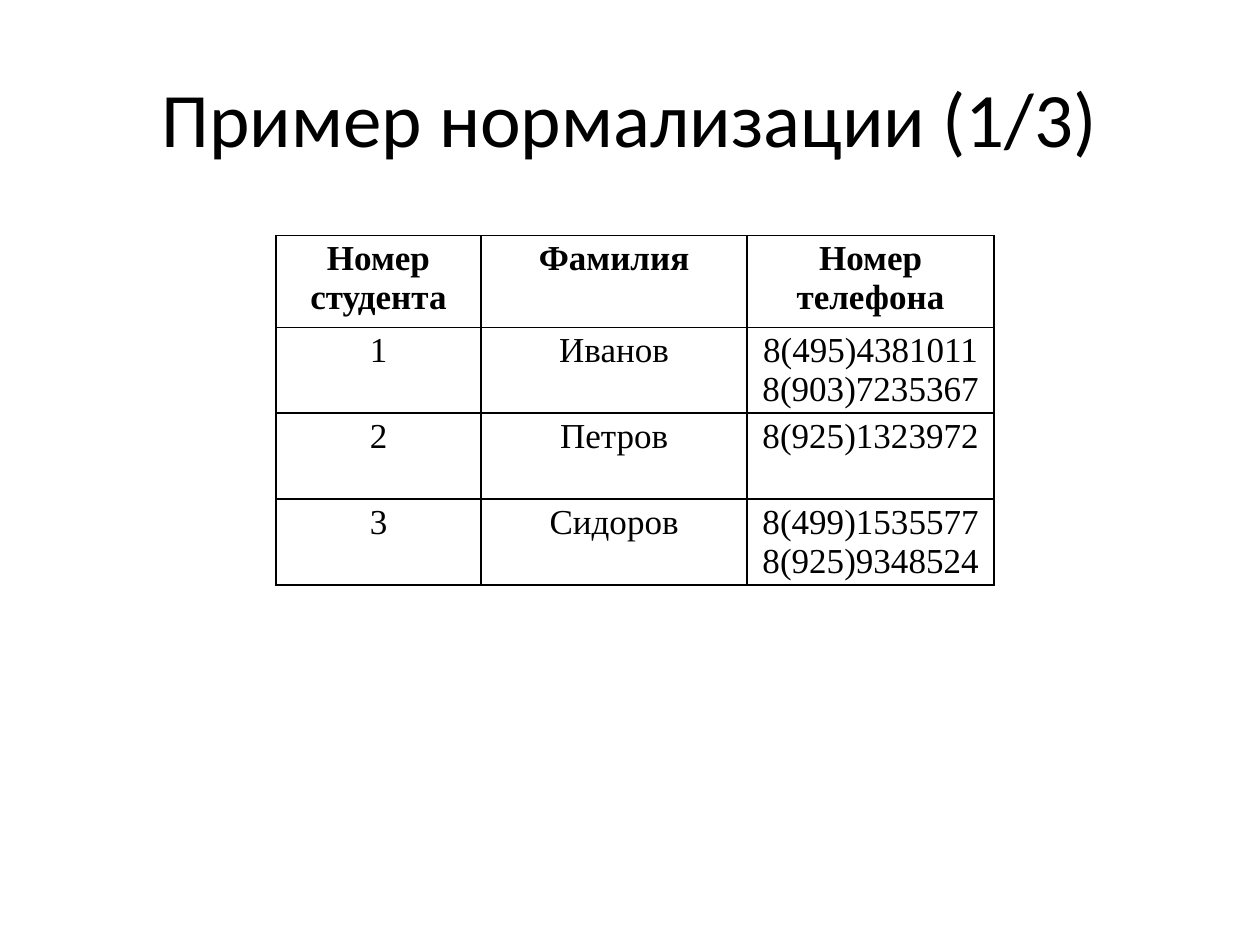
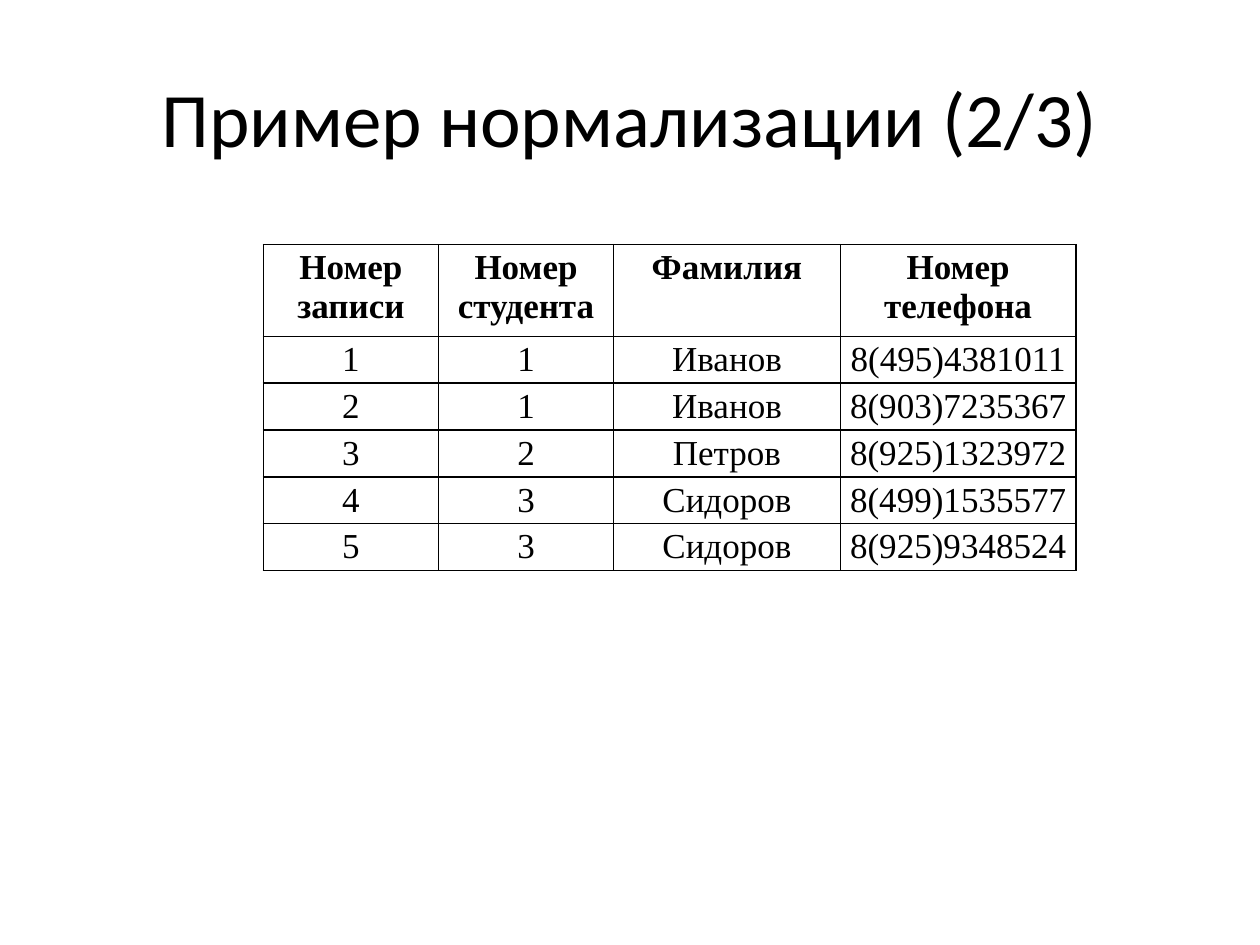
from lxml import etree
from pptx import Presentation
from pptx.dml.color import RGBColor
from pptx.enum.text import MSO_ANCHOR, PP_ALIGN
from pptx.oxml.ns import qn
from pptx.util import Cm, Pt

CENTER = PP_ALIGN.CENTER
MIDDLE = MSO_ANCHOR.MIDDLE
TOP = MSO_ANCHOR.TOP
COLORS = {"paper": "FFFFFF", "ink": "000000"}
HEAD_ROW = 1.85


class Deck:
    title_font = "Calibri"
    cell_font = "Times New Roman"
    inset = Cm(0.08)

    def __init__(self):
        self.prs = Presentation()
        self.prs.slide_width = Cm(25.4)
        self.prs.slide_height = Cm(19.05)
        self.slide = None

    def add(self, title):
        self.slide = self.prs.slides.add_slide(self.prs.slide_layouts[5])
        fill = self.slide.background.fill
        fill.solid()
        fill.fore_color.rgb = RGBColor.from_string(COLORS["paper"])
        box = self.slide.shapes.title
        box.left, box.top = Cm(1.27), Cm(0.76)
        box.width, box.height = Cm(22.86), Cm(3.18)
        box.text_frame.vertical_anchor = MIDDLE
        self.label(box.text_frame, title, self.title_font, 44)

    def label(self, frame, text, name, size, bold=False):
        frame.text = text
        for para in frame.paragraphs:
            para.alignment = CENTER
            font = para.font
            font.name, font.size, font.bold = name, Pt(size), bold
            font.color.rgb = RGBColor.from_string(COLORS["ink"])

    def table(self, left, top, widths, row_height, rows):
        """Draw a ruled table; lengths are in centimetres."""
        heights = [HEAD_ROW] + [row_height] * (len(rows) - 1)
        grid = self.slide.shapes.add_table(
            len(rows), len(widths), Cm(left), Cm(top),
            Cm(sum(widths)), Cm(sum(heights))).table
        grid.first_row = grid.horz_banding = False
        for col, width in zip(grid.columns, widths):
            col.width = Cm(width)
        for i, (row, height) in enumerate(zip(grid.rows, heights)):
            row.height = Cm(height)
            for cell, text in zip(row.cells, rows[i]):
                self.cell(cell, text, bold=i == 0)

    def cell(self, cell, text, bold):
        cell.margin_left = cell.margin_right = self.inset
        cell.margin_top = cell.margin_bottom = self.inset
        cell.vertical_anchor = TOP
        self.label(cell.text_frame, text, self.cell_font, 20, bold)
        self.rule(cell)
        cell.fill.background()

    def rule(self, cell):
        """Put a thin line on all four sides of a cell."""
        props = cell._tc.get_or_add_tcPr()
        for side in ("lnL", "lnR", "lnT", "lnB"):
            line = etree.SubElement(props, qn(f"a:{side}"), w=str(Pt(1)))
            solid = etree.SubElement(line, qn("a:solidFill"))
            etree.SubElement(solid, qn("a:srgbClr"), val=COLORS["ink"])


def main():
    deck = Deck()
    student, name, phone = "Номер студента", "Фамилия", "Номер телефона"
    people = [
        ("1", "Иванов", ["8(495)4381011", "8(903)7235367"]),
        ("2", "Петров", ["8(925)1323972"]),
        ("3", "Сидоров", ["8(499)1535577", "8(925)9348524"]),
    ]

    deck.add("Пример нормализации (1/3)")
    grouped = [(key, who, "\n".join(calls)) for key, who, calls in people]
    deck.table(5.56, 4.75, [4.14, 5.36, 4.98], 1.73,
               [(student, name, phone)] + grouped)

    deck.add("Пример нормализации (2/3)")
    flat = [(key, who, call) for key, who, calls in people for call in calls]
    records = [(str(n), *row) for n, row in enumerate(flat, 1)]
    deck.table(5.31, 4.93, [3.53, 3.53, 4.57, 4.75], 0.94,
               [("Номер записи", student, name, phone)] + records)

    deck.prs.save("out.pptx")


if __name__ == "__main__":
    main()
